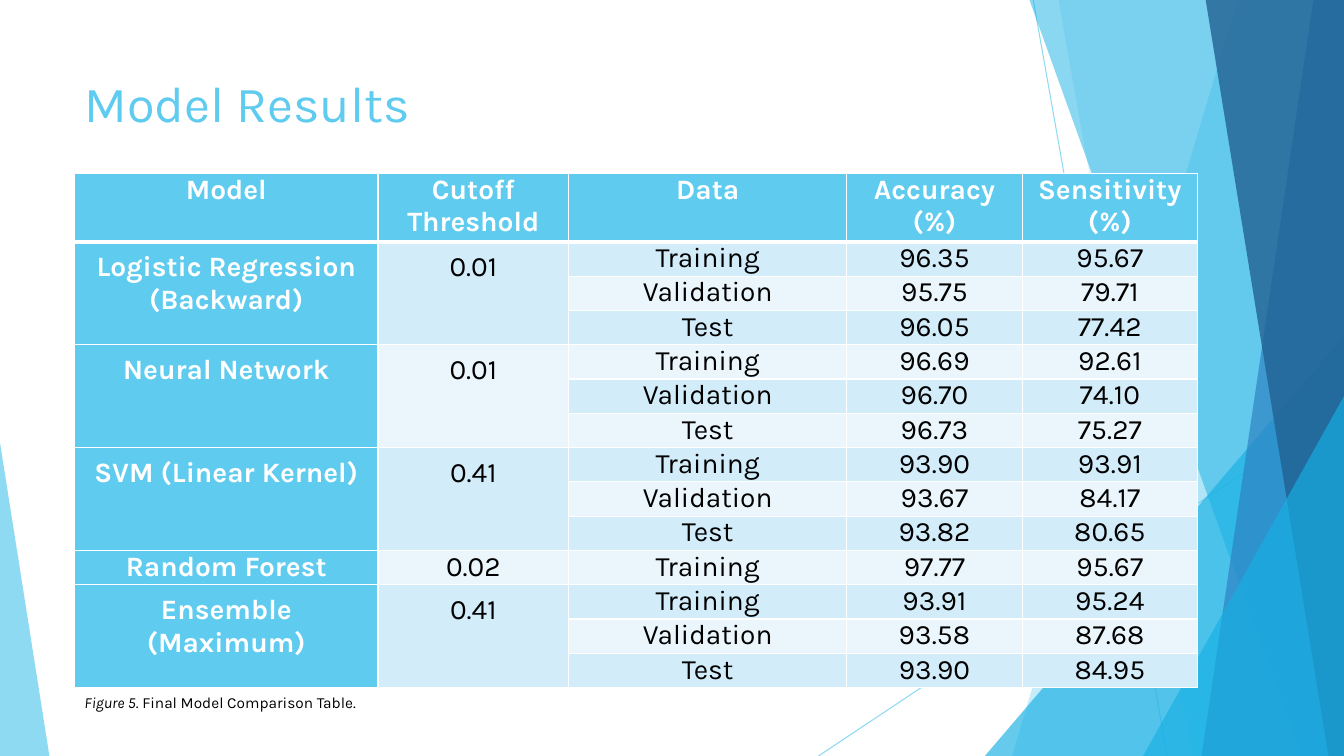
from dataclasses import dataclass
from typing import Any

import lxml.etree
import pptx
import pptx.dml.color
import pptx.enum.shapes
import pptx.enum.text
import pptx.oxml.ns
import pptx.util

qn = pptx.oxml.ns.qn


@dataclass(frozen=True)
class Theme:
    font: str = "Karla"
    sky: str = "5FCBEF"
    azure: str = "17B0E4"
    blue: str = "2E83C3"
    navy: str = "226292"
    band_dark: str = "D2ECF9"
    band_light: str = "EAF6FC"
    white: str = "FFFFFF"
    black: str = "000000"
    title_size: int = 36
    table_size: int = 20
    caption_size: int = 11


@dataclass(frozen=True)
class Ray:
    start: tuple[float, float]
    end: tuple[float, float]


@dataclass(frozen=True)
class Facet:
    top_left: float
    bottom_left: float
    color: str
    alpha: int


@dataclass(frozen=True)
class Wedge:
    left: float
    top: float
    width: float
    apex: float
    color: str
    alpha: int


@dataclass(frozen=True)
class Model:
    name: str
    cutoff: str
    scores: list[tuple[str, str]]


T = Theme()
W, H = pptx.util.Inches(13.333), pptx.util.Inches(7.5)
BLEED = -0.11
LEFT = 5.55
DATA = ["Training", "Validation", "Test"]
HEADINGS = ["Model", "Cutoff Threshold", "Data", "Accuracy (%)", "Sensitivity (%)"]
COLUMNS = [22.58, 14.18, 20.7, 13.05, 13.05]
TABLE_TOP, HEADER_ROW, BODY_ROW = 22.93, 9.07, 4.54

RAYS = [Ray((76.88, 0), (86.85, 100)), Ray((100, 53.73), (60.9, 100))]
FACETS = [
    Facet(92.1, 75.3, T.sky, 36),
    Facet(78.75, 88.73, T.sky, 20),
    Wedge(73.28, 44.4, 26.72, 1, T.azure, 66),
    Facet(76.58, 96.83, T.azure, 50),
    Facet(97.73, 89.4, T.blue, 70),
    Facet(89.7, 98.85, T.navy, 80),
    Wedge(85.05, 52.4, 14.95, 1, T.azure, 66),
    Wedge(0, 58.53, 3.68, 0, T.sky, 70),
]
MODELS = [
    Model("Logistic Regression (Backward)", "0.01",
          [("96.35", "95.67"), ("95.75", "79.71"), ("96.05", "77.42")]),
    Model("Neural Network", "0.01",
          [("96.69", "92.61"), ("96.70", "74.10"), ("96.73", "75.27")]),
    Model("SVM (Linear Kernel)", "0.41",
          [("93.90", "93.91"), ("93.67", "84.17"), ("93.82", "80.65")]),
    Model("Random Forest", "0.02", [("97.77", "95.67")]),
    Model("Ensemble (Maximum)", "0.41",
          [("93.91", "95.24"), ("93.58", "87.68"), ("93.90", "84.95")]),
]


def px(share: float) -> int:
    return round(W * share / 100)


def py(share: float) -> int:
    return round(H * share / 100)


def rgb(color: str) -> pptx.dml.color.RGBColor:
    return pptx.dml.color.RGBColor.from_string(color)


def set_alpha(element: Any, alpha: int) -> None:
    clr = next(element.iter(qn("a:srgbClr")))
    lxml.etree.SubElement(clr, qn("a:alpha")).set("val", str(alpha * 1000))


def set_font(font: Any, size: int, color: str, bold: bool = False) -> None:
    font.name, font.size, font.bold = T.font, pptx.util.Pt(size), bold
    font.color.rgb = rgb(color)


def draw_ray(s: Any, ray: Ray) -> None:
    line = s.shapes.add_connector(
        pptx.enum.shapes.MSO_CONNECTOR.STRAIGHT,
        px(ray.start[0]), py(ray.start[1]), px(ray.end[0]), py(ray.end[1]))
    line.line.color.rgb = rgb(T.sky)
    line.line.width = pptx.util.Pt(0.75)
    sp_pr = line._element.spPr
    set_alpha(sp_pr, 70)
    lxml.etree.SubElement(sp_pr, qn("a:effectLst"))


def draw_facet(s: Any, facet: Facet | Wedge) -> None:
    if isinstance(facet, Wedge):
        sp = s.shapes.add_shape(
            pptx.enum.shapes.MSO_SHAPE.ISOSCELES_TRIANGLE,
            px(facet.left), py(facet.top), px(facet.width), py(100 - facet.top))
        sp.adjustments[0] = facet.apex
    else:
        builder = s.shapes.build_freeform(px(facet.top_left), py(BLEED))
        builder.add_line_segments(
            [(W, py(BLEED)), (W, H), (px(facet.bottom_left), H)], close=True)
        sp = builder.convert_to_shape()
    sp.shadow.inherit = False
    sp.fill.solid()
    sp.fill.fore_color.rgb = rgb(facet.color)
    set_alpha(sp._element.spPr, facet.alpha)
    sp.line.fill.background()


def add_text(s: Any, top: float, width: float, height: float) -> Any:
    sp = s.shapes.add_textbox(px(LEFT), py(top), px(width), py(height))
    sp.text_frame.word_wrap = True
    return sp.text_frame.paragraphs[0]


def set_borders(cell: Any, top: float, bottom: float) -> None:
    tc_pr = cell._tc.get_or_add_tcPr()
    edges = {"a:lnL": 1, "a:lnR": 1, "a:lnT": top, "a:lnB": bottom}
    for i, (tag, width) in enumerate(edges.items()):
        ln = lxml.etree.Element(qn(tag), w=str(pptx.util.Pt(width)))
        fill = lxml.etree.SubElement(ln, qn("a:solidFill"))
        lxml.etree.SubElement(fill, qn("a:srgbClr")).set("val", T.white)
        tc_pr.insert(i, ln)


def style_cell(cell: Any, row: int, col: int) -> None:
    heading = row == 0 or col == 0
    cell.fill.solid()
    band = T.band_dark if row % 2 else T.band_light
    cell.fill.fore_color.rgb = rgb(T.sky if heading else band)
    set_borders(cell, 3 if row == 1 else 1, 3 if row == 0 else 1)
    merged = cell.is_merge_origin
    cell.margin_left = cell.margin_right = px(1.43 if merged else 1.05)
    cell.margin_top = cell.margin_bottom = py(1.2 if merged else 0)
    p = cell.text_frame.paragraphs[0]
    p.alignment = pptx.enum.text.PP_ALIGN.CENTER
    p.space_after = pptx.util.Pt(6)
    set_font(p.font, T.table_size, T.white if heading else T.black, heading)
    if row and col > 2:
        p.runs[0]._r.get_or_add_rPr().set("spc", "10")


def draw_results(s: Any) -> None:
    rows = [HEADINGS] + [
        [m.name if i == 0 else "", m.cutoff if i == 0 else "", DATA[i], *score]
        for m in MODELS for i, score in enumerate(m.scores)]
    height = HEADER_ROW + BODY_ROW * (len(rows) - 1)
    table = s.shapes.add_table(
        len(rows), len(COLUMNS), px(LEFT), py(TABLE_TOP), px(sum(COLUMNS)), py(height)).table
    for column, width in zip(table.columns, COLUMNS):
        column.width = px(width)
    for i, row in enumerate(table.rows):
        row.height = py(BODY_ROW if i else HEADER_ROW)
    first = 1
    for m in MODELS:
        last = first + len(m.scores) - 1
        if last > first:
            for col in (0, 1):
                table.cell(first, col).merge(table.cell(last, col))
        first = last + 1
    for i, texts in enumerate(rows):
        for j, text in enumerate(texts):
            cell = table.cell(i, j)
            cell.text = text
            style_cell(cell, i, j)


def main() -> None:
    prs = pptx.Presentation()
    prs.slide_width, prs.slide_height = W, H
    s = prs.slides.add_slide(prs.slide_layouts[6])
    for ray in RAYS:
        draw_ray(s, ray)
    for facet in FACETS:
        draw_facet(s, facet)
    title = add_text(s, 8.93, 70.5, 19.2)
    title.text = "Model Results"
    set_font(title.font, T.title_size, T.sky)
    draw_results(s)
    caption = add_text(s, 91.07, 22.43, 3.87)
    for text, italic in (("Figure 5", True), (". Final Model Comparison Table.", False)):
        r = caption.add_run()
        r.text, r.font.italic = text, italic
    set_font(caption.font, T.caption_size, T.black)
    prs.save("out.pptx")


if __name__ == "__main__":
    main()
